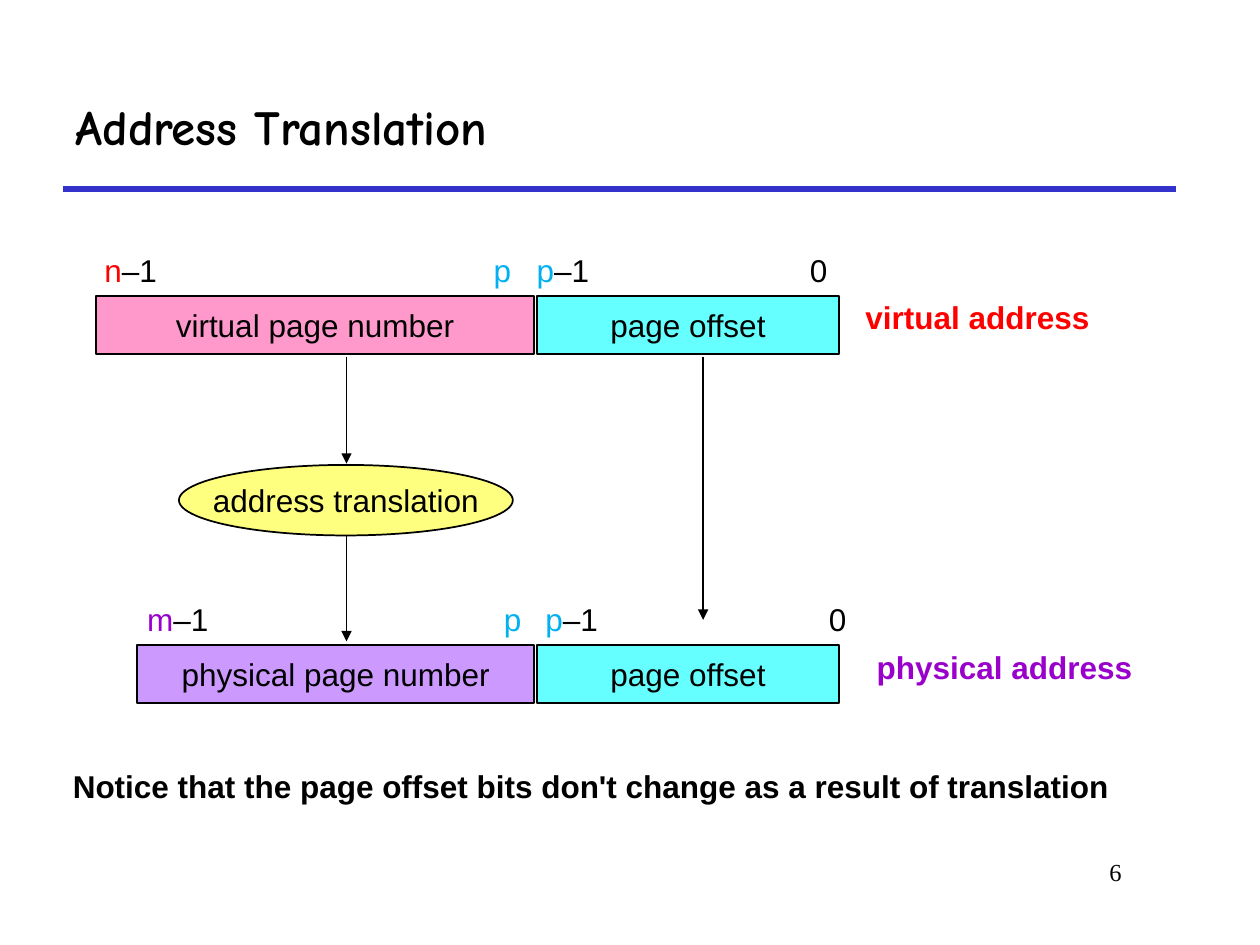
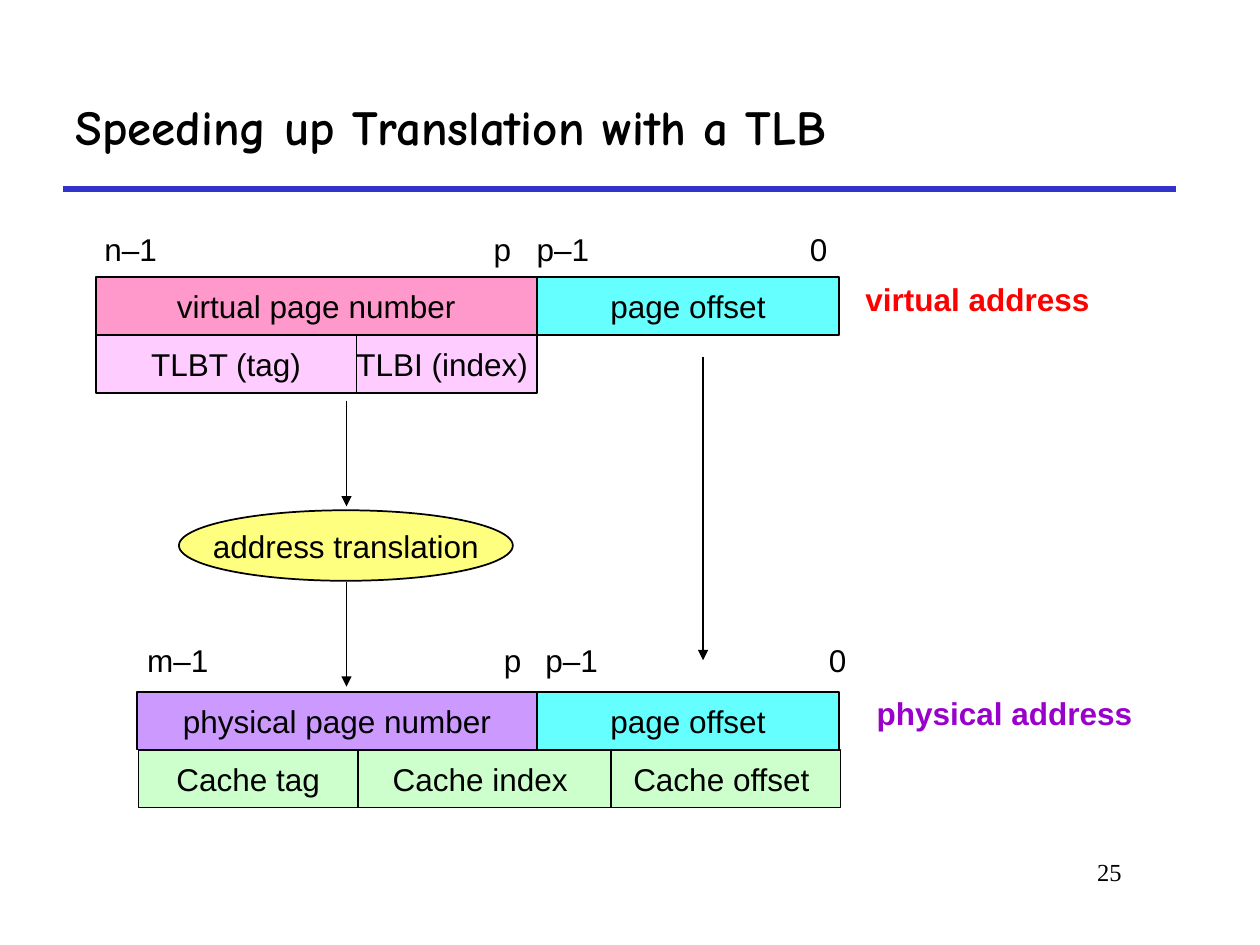
from dataclasses import dataclass
from itertools import pairwise

from lxml import etree
from pptx import Presentation
from pptx.dml.color import RGBColor
from pptx.enum.shapes import MSO_CONNECTOR, MSO_SHAPE
from pptx.enum.text import MSO_ANCHOR, MSO_AUTO_SIZE, PP_ALIGN
from pptx.oxml.ns import qn
from pptx.util import Inches, Pt

STRAIGHT = MSO_CONNECTOR.STRAIGHT
RECTANGLE, OVAL = MSO_SHAPE.RECTANGLE, MSO_SHAPE.OVAL
TOP, MIDDLE = MSO_ANCHOR.TOP, MSO_ANCHOR.MIDDLE
FIT_SHAPE, NO_FIT = MSO_AUTO_SIZE.SHAPE_TO_FIT_TEXT, MSO_AUTO_SIZE.NONE
LEFT, CENTER, RIGHT = PP_ALIGN.LEFT, PP_ALIGN.CENTER, PP_ALIGN.RIGHT


@dataclass(frozen=True)
class Theme:
    ink: str = "000000"
    rule: str = "3333CC"
    virtual: str = "FF0000"
    physical: str = "9900CC"
    offset_bits: str = "00B0F0"
    virtual_fill: str = "FF99CC"
    physical_fill: str = "CC99FF"
    offset_fill: str = "66FFFF"
    tlb_fill: str = "FFCCFF"
    cache_fill: str = "CCFFCC"
    translation_fill: str = "FFFF00"
    title_font: str = "Comic Neue"
    body_font: str = "Arial"
    number_font: str = "Times New Roman"
    title_size: int = 28
    body_size: int = 18
    number_size: int = 14
    outline: int = 1
    rule_width: int = 3


@dataclass(frozen=True)
class AddressKind:
    name: str
    top_bit: str
    left: float
    label_lefts: tuple
    top_label_width: float
    caption_left: float
    caption_width: float
    fill: str
    accent: str


THEME = Theme()
VIRTUAL = AddressKind("virtual", "n", 0.76, (0.73, 3.82, 4.16, 6.33), 0.62,
                      6.77, 1.98, THEME.virtual_fill, THEME.virtual)
PHYSICAL = AddressKind("physical", "m", 1.09, (1.07, 3.9, 4.23, 6.48), 0.7,
                       6.86, 2.23, THEME.physical_fill, THEME.physical)
OFFSET_LEFT, OFFSET_RIGHT = 4.26, 6.66
BAR_HEIGHT = 0.46
LABEL_HEIGHT = 0.4
TRANSLATION_X, OFFSET_X = 2.75, 5.58


def apply_format(target, values):
    for name, value in values.items():
        setattr(target, name, value)


def write_text(shape, runs, frame_format, alignment=LEFT, size=THEME.body_size,
               font=THEME.body_font, bold=False):
    frame = shape.text_frame
    apply_format(frame, frame_format)
    paragraph = frame.paragraphs[0]
    paragraph.alignment = alignment
    for text, color in runs:
        run = paragraph.add_run()
        run.text = text
        apply_format(run.font, {"name": font, "size": Pt(size), "bold": bold})
        run.font.color.rgb = RGBColor.from_string(color)


def add_text(slide, left, top, width, runs, height=LABEL_HEIGHT, wrap=False,
             auto_size=FIT_SHAPE, **style):
    shape = slide.shapes.add_textbox(Inches(left), Inches(top), Inches(width), Inches(height))
    write_text(shape, runs, {"word_wrap": wrap, "auto_size": auto_size,
                             "vertical_anchor": TOP}, **style)


def add_box(slide, kind, left, top, width, height, fill, text):
    shape = slide.shapes.add_shape(kind, Inches(left), Inches(top), Inches(width), Inches(height))
    shape.shadow.inherit = False
    shape.fill.solid()
    shape.fill.fore_color.rgb = RGBColor.from_string(fill)
    shape.line.color.rgb = RGBColor.from_string(THEME.ink)
    shape.line.width = Pt(THEME.outline)
    write_text(shape, [(text, THEME.ink)],
               {"word_wrap": False, "vertical_anchor": MIDDLE}, alignment=CENTER)
    return shape


def add_line(slide, start, end, color=THEME.ink, width=THEME.outline):
    connector = slide.shapes.add_connector(STRAIGHT, *map(Inches, start + end))
    connector.line.color.rgb = RGBColor.from_string(color)
    connector.line.width = Pt(width)
    etree.SubElement(connector._element.spPr, qn("a:effectLst"))
    return connector


def add_down_arrow(slide, x, top, bottom):
    connector = add_line(slide, (x, top), (x, bottom))
    line = connector.line._get_or_add_ln()
    etree.SubElement(line, qn("a:tailEnd"), type="triangle")


def add_translation(slide, top):
    oval = add_box(slide, OVAL, 1.42, top, 2.65, 0.56,
                   THEME.translation_fill, "address translation")
    color = oval._element.spPr.find(qn("a:solidFill")).find(qn("a:srgbClr"))
    etree.SubElement(color, qn("a:alpha"), val="50000")


def add_field_row(slide, top, edges, names, fill):
    for (left, right), name in zip(pairwise(edges), names):
        add_box(slide, RECTANGLE, left, top, right - left, BAR_HEIGHT, fill, name)


def add_address(slide, kind, top, label_top, gap=0.0, colored=False):
    add_field_row(slide, top, (kind.left, OFFSET_LEFT - gap),
                  [f"{kind.name} page number"], kind.fill)
    add_field_row(slide, top, (OFFSET_LEFT, OFFSET_RIGHT), ["page offset"], THEME.offset_fill)
    add_text(slide, kind.caption_left, top - 0.03, kind.caption_width,
             [(f"{kind.name} address", kind.accent)], bold=True)

    top_color = kind.accent if colored else THEME.ink
    offset_color = THEME.offset_bits if colored else THEME.ink
    minus_one = ("–1", THEME.ink)
    labels = [
        (kind.top_label_width, [(kind.top_bit, top_color), minus_one]),
        (0.34, [("p", offset_color)]),
        (0.62, [("p", offset_color), minus_one]),
        (0.34, [("0", THEME.ink)]),
    ]
    for left, (width, runs) in zip(kind.label_lefts, labels):
        add_text(slide, left, label_top, width, runs)


def add_titled_slide(presentation, title, number):
    slide = presentation.slides.add_slide(presentation.slide_layouts[5])
    add_line(slide, (0.5, 1.5), (9.33, 1.5), THEME.rule, THEME.rule_width)
    add_text(slide, 7.58, 6.75, 1.42, [(number, THEME.ink)], height=0.5, wrap=True,
             auto_size=NO_FIT, alignment=RIGHT, size=THEME.number_size, font=THEME.number_font)
    placeholder = slide.shapes.title
    apply_format(placeholder, {"left": Inches(0.5), "top": Inches(0.5),
                               "width": Inches(8.83), "height": Inches(1)})
    write_text(placeholder, [(title, THEME.ink)],
               {"word_wrap": True, "auto_size": NO_FIT, "vertical_anchor": MIDDLE},
               size=THEME.title_size, font=THEME.title_font, bold=True)
    return slide


def build_address_translation(presentation):
    slide = add_titled_slide(presentation, "Address Translation", "6")
    add_address(slide, VIRTUAL, 2.35, 1.94, gap=0.02, colored=True)
    add_address(slide, PHYSICAL, 5.12, 4.71, gap=0.02, colored=True)
    add_translation(slide, 3.69)
    add_down_arrow(slide, OFFSET_X, 2.83, 4.92)
    add_down_arrow(slide, TRANSLATION_X, 2.83, 3.68)
    add_down_arrow(slide, TRANSLATION_X, 4.25, 5.09)
    notice = "Notice that the page offset bits don't change as a result of translation"
    add_text(slide, 0.48, 6.04, 9.1, [(notice, THEME.ink)], wrap=True, bold=True)


def build_tlb_translation(presentation):
    slide = add_titled_slide(presentation, "Speeding up Translation with a TLB", "25")
    virtual_top, physical_top = 2.2, 5.49
    add_address(slide, VIRTUAL, virtual_top, 1.78)
    add_address(slide, PHYSICAL, physical_top, 5.04)
    add_translation(slide, 4.05)
    add_down_arrow(slide, OFFSET_X, 2.83, 5.24)
    add_down_arrow(slide, TRANSLATION_X, 3.18, 4.02)
    add_down_arrow(slide, TRANSLATION_X, 4.62, 5.45)
    add_field_row(slide, virtual_top + BAR_HEIGHT, (0.76, 2.83, OFFSET_LEFT),
                  ["TLBT (tag)", "TLBI (index) "], THEME.tlb_fill)
    add_field_row(slide, physical_top + BAR_HEIGHT, (1.1, 2.84, 4.85, 6.67),
                  ["Cache tag", "Cache index ", "Cache offset "], THEME.cache_fill)


def main():
    presentation = Presentation()
    presentation.slide_width = Inches(10)
    presentation.slide_height = Inches(7.5)
    build_address_translation(presentation)
    build_tlb_translation(presentation)
    presentation.save("out.pptx")


if __name__ == "__main__":
    main()
